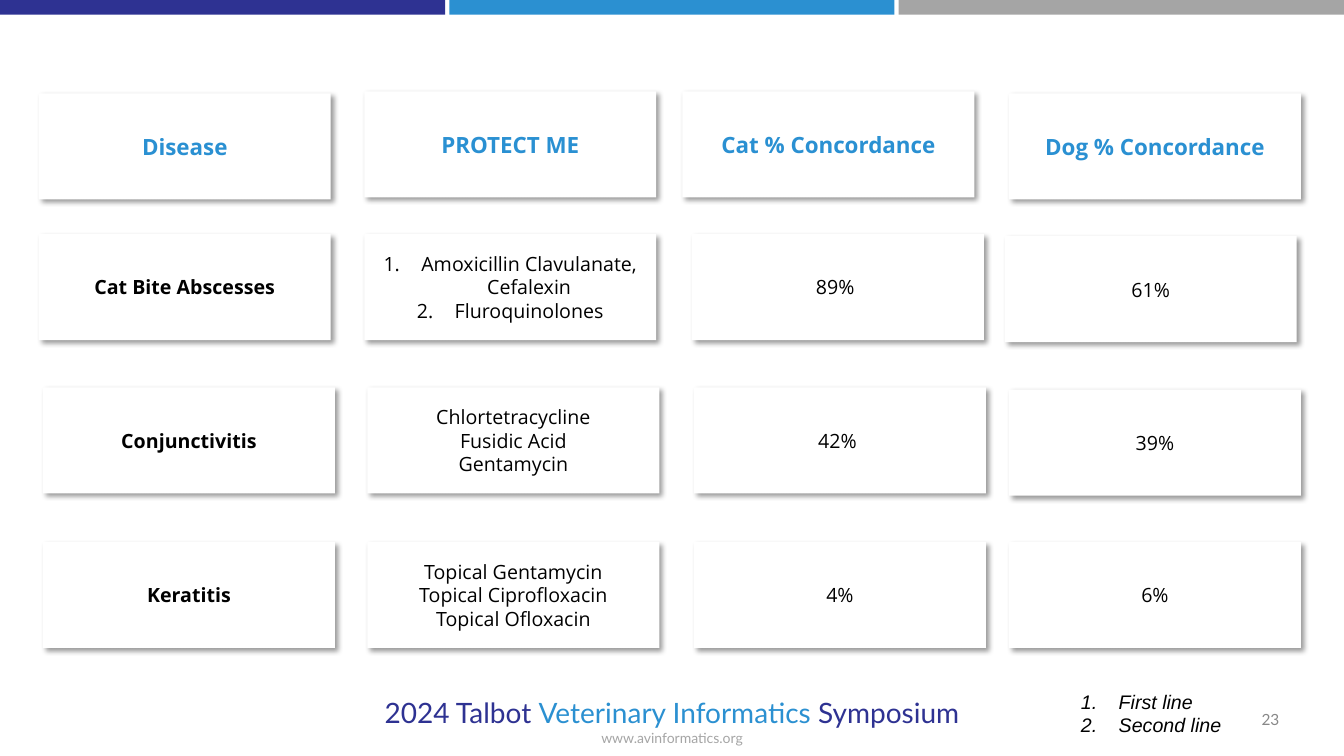
import dataclasses
import typing

import lxml.etree
import pptx
import pptx.dml.color
import pptx.enum.shapes
import pptx.enum.text
import pptx.oxml.ns
import pptx.util

EMU_PER_PX = 9525  # 96 px to the inch
CARD_WIDTH, CARD_HEIGHT = 278, 101
NUMBER_INDENT = 36
NAVY, BLUE, GREY = "2E3292", "2B90D1", "A5A5A5"
BLACK, WHITE, HEADING_BLUE, NUMBER_GREY = "000000", "FFFFFF", "2A90D2", "888888"

Align = pptx.enum.text.PP_ALIGN
Anchor = pptx.enum.text.MSO_ANCHOR
AutoSize = pptx.enum.text.MSO_AUTO_SIZE

HEADING = {"name": "Open Sans", "size": pptx.util.Pt(16), "bold": True}
BODY = {"name": "Open Sans", "size": pptx.util.Pt(14)}
DISEASE = {**BODY, "bold": True}
FOOTER = {"name": "Lato", "size": pptx.util.Pt(20)}
ADDRESS = {"name": "Lato", "size": pptx.util.Pt(10)}
PAGE_NUMBER = {"name": "Lato", "size": pptx.util.Pt(11)}
NOTE = {"name": "Arial", "size": pptx.util.Pt(14), "italic": True}


class Run(typing.NamedTuple):
    text: str
    font: dict[str, typing.Any]
    color: str


@dataclasses.dataclass
class Card:
    left: int
    top: int
    lines: list[str]
    numbered: bool = False


@dataclasses.dataclass
class Row:
    cards: list[Card]
    first_font: dict[str, typing.Any]
    other_font: dict[str, typing.Any]
    color: str = BLACK


@dataclasses.dataclass
class Label:
    box: tuple[int, int, int, int]
    paragraphs: list[list[Run]]
    align: Align
    anchor: Anchor = Anchor.TOP
    wrap: bool = True
    auto_size: AutoSize = AutoSize.SHAPE_TO_FIT_TEXT
    numbered: bool = False


ROWS = [
    Row([Card(37, 89, ["Disease"]),
         Card(347, 87, ["PROTECT ME"]),
         Card(650, 87, ["Cat % Concordance"]),
         Card(961, 89, ["Dog % Concordance"])], HEADING, HEADING, HEADING_BLUE),
    Row([Card(37, 223, ["Cat Bite Abscesses"]),
         Card(347, 223, ["Amoxicillin Clavulanate, Cefalexin", "Fluroquinolones"], True),
         Card(659, 223, ["89% "]),
         Card(957, 225, ["61%"])], DISEASE, BODY),
    Row([Card(41, 369, ["Conjunctivitis"]),
         Card(350, 369, ["Chlortetracycline", "Fusidic Acid", "Gentamycin"]),
         Card(661, 369, ["42% "]),
         Card(961, 371, ["39%"])], DISEASE, BODY),
    Row([Card(41, 516, ["Keratitis"]),
         Card(350, 516, ["Topical Gentamycin", "Topical Ciprofloxacin", "Topical Ofloxacin"]),
         Card(661, 516, ["4%"]),
         Card(961, 516, ["6%"])], DISEASE, BODY),
]

LABELS = [
    Label((190, 658, 900, 59),
          [[Run("2024 Talbot ", FOOTER, NAVY),
            Run("Veterinary Informatics ", FOOTER, BLUE),
            Run("Symposium", FOOTER, NAVY)],
           [Run("www.avinformatics.org", ADDRESS, GREY)]], Align.CENTER),
    Label((1135, 666, 93, 38), [[Run("23", PAGE_NUMBER, NUMBER_GREY)]],
          Align.RIGHT, Anchor.MIDDLE, auto_size=AutoSize.NONE),
    Label((1020, 652, 159, 55),
          [[Run(line, NOTE, BLACK)] for line in ("First line", "Second line")],
          Align.LEFT, wrap=False, numbered=True),
]


def px(length: int) -> int:
    return pptx.util.Emu(length * EMU_PER_PX)


def rgb(color: str) -> pptx.dml.color.RGBColor:
    return pptx.dml.color.RGBColor.from_string(color)


def add_element(parent, tag: str, **attributes: str):
    return lxml.etree.SubElement(parent, pptx.oxml.ns.qn(tag), attributes)


def number_paragraph(paragraph) -> None:
    """Give the paragraph an automatic black number and a hanging indent."""
    properties = paragraph._p.get_or_add_pPr()
    indent = px(NUMBER_INDENT)
    properties.set("marL", str(indent))
    properties.set("indent", str(-indent))
    bullet_color = add_element(properties, "a:buClr")
    add_element(bullet_color, "a:srgbClr", val=BLACK)
    add_element(properties, "a:buFont", typeface="+mj-lt")
    add_element(properties, "a:buAutoNum", type="arabicPeriod")


def write_text(frame, paragraphs: list[list[Run]], align: Align, numbered: bool) -> None:
    for index, runs in enumerate(paragraphs):
        paragraph = frame.add_paragraph() if index else frame.paragraphs[0]
        if numbered:
            number_paragraph(paragraph)
        paragraph.alignment = align
        for text, font, color in runs:
            run = paragraph.add_run()
            run.text = text
            for attribute, value in font.items():
                setattr(run.font, attribute, value)
            run.font.color.rgb = rgb(color)


def add_rectangle(slide, box: tuple[int, int, int, int], color: str):
    rectangle = slide.shapes.add_shape(
        pptx.enum.shapes.MSO_SHAPE.RECTANGLE, *map(px, box))
    rectangle.shadow.inherit = False
    rectangle.fill.solid()
    rectangle.fill.fore_color.rgb = rgb(color)
    rectangle.line.fill.background()
    return rectangle


def cast_shadow(card_shape) -> None:
    """Add a soft shadow towards the lower right."""
    effects = card_shape._element.spPr.find(pptx.oxml.ns.qn("a:effectLst"))
    shadow = add_element(effects, "a:outerShdw", blurRad=str(pptx.util.Pt(4)),
                         dist=str(pptx.util.Pt(3)), dir="2700000",
                         algn="tl", rotWithShape="0")
    shadow_color = add_element(shadow, "a:srgbClr", val=BLACK)
    add_element(shadow_color, "a:alpha", val="40000")


def add_card(slide, card: Card, font: dict[str, typing.Any], color: str) -> None:
    card_shape = add_rectangle(
        slide, (card.left, card.top, CARD_WIDTH, CARD_HEIGHT), WHITE)
    cast_shadow(card_shape)
    frame = card_shape.text_frame
    frame.word_wrap = True
    frame.vertical_anchor = Anchor.MIDDLE
    write_text(frame, [[Run(line, font, color)] for line in card.lines],
               Align.CENTER, card.numbered)


def add_label(slide, label: Label) -> None:
    frame = slide.shapes.add_textbox(*map(px, label.box)).text_frame
    frame.word_wrap = label.wrap
    frame.auto_size = label.auto_size
    frame.vertical_anchor = label.anchor
    write_text(frame, label.paragraphs, label.align, label.numbered)


def main() -> None:
    presentation = pptx.Presentation()
    presentation.slide_width, presentation.slide_height = px(1280), px(720)
    slide = presentation.slides.add_slide(presentation.slide_layouts[6])
    for index, color in enumerate((NAVY, BLUE, GREY)):
        add_rectangle(slide, (index * 428, 0, 424, 14), color)
    for row in ROWS:
        for index, card in enumerate(row.cards):
            add_card(slide, card, row.other_font if index else row.first_font, row.color)
    for label in LABELS:
        add_label(slide, label)
    presentation.save("out.pptx")


if __name__ == "__main__":
    main()
